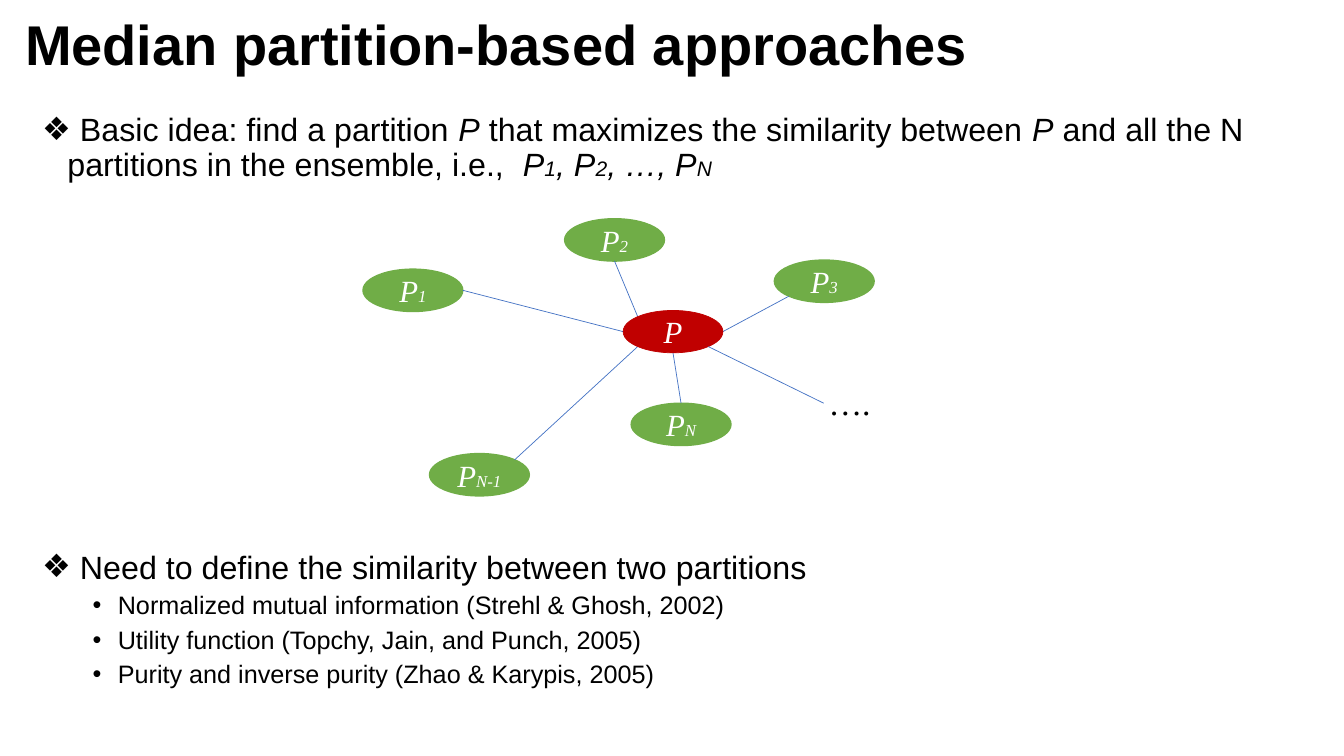
import math
from lxml import etree
from pptx import Presentation
from pptx.dml.color import RGBColor
from pptx.enum.shapes import MSO_CONNECTOR, MSO_SHAPE
from pptx.enum.text import MSO_ANCHOR, PP_ALIGN
from pptx.oxml.ns import qn
from pptx.util import Inches, Pt

ELLIPSE = MSO_SHAPE.OVAL
STRAIGHT = MSO_CONNECTOR.STRAIGHT
MIDDLE, TOP = MSO_ANCHOR.MIDDLE, MSO_ANCHOR.TOP
LEFT, CENTER = PP_ALIGN.LEFT, PP_ALIGN.CENTER

SANS, SERIF = "Arial", "Times New Roman"
BLACK, WHITE, GREEN, RED, BLUE = "000000", "FFFFFF", "70AD47", "C00000", "4472C4"
NODE_WIDTH, NODE_HEIGHT = 0.99, 0.42
EAST, SOUTHEAST, SOUTH, SOUTHWEST, WEST, NORTHWEST, NORTH, NORTHEAST = range(0, 360, 45)

IDEA = [
    (" Basic idea: find a partition ", {}),
    ("P", {"italic": True}),
    (" that maximizes the similarity between ", {}),
    ("P", {"italic": True}),
    (" and all the N partitions in the ensemble, i.e.,  ", {}),
    ("P", {"italic": True}),
    ("1", {"italic": True, "size": 15}),
    (", P", {"italic": True}),
    ("2", {"italic": True, "size": 15}),
    (", …, P", {"italic": True}),
    ("N", {"italic": True, "size": 15}),
]
MEASURES = [
    "Normalized mutual information (Strehl & Ghosh, 2002)",
    "Utility function (Topchy, Jain, and Punch, 2005)",
    "Purity and inverse purity (Zhao & Karypis, 2005)",
]
PARTITIONS = [
    ("N-1", 0.66, 2.33, NORTHEAST, SOUTHWEST),
    ("N", 2.66, 1.83, NORTH, SOUTH),
    ("1", 0, 0.5, EAST, WEST),
    ("2", 2, 0, SOUTH, NORTHWEST),
    ("3", 4.08, 0.41, SOUTHWEST, EAST),
]


def color(value):
    return RGBColor.from_string(value)


def add_text(paragraph, text, font=SANS, size=23, fill=BLACK, bold=False, italic=False):
    run = paragraph.add_run()
    run.text = text
    run.font.name = font
    run.font.size = Pt(size)
    run.font.color.rgb = color(fill)
    run.font.bold = bold
    run.font.italic = italic


def add_text_box(slide, left, top, width, height, anchor=TOP):
    box = slide.shapes.add_textbox(Inches(left), Inches(top), Inches(width), Inches(height))
    box.text_frame.word_wrap = True
    box.text_frame.vertical_anchor = anchor
    return box.text_frame


def set_bullet(paragraph, character, indent):
    properties = paragraph._p.get_or_add_pPr()
    properties.set("marL", str(Inches(indent)))
    properties.set("indent", str(Inches(-0.25)))
    etree.SubElement(properties, qn("a:buFont")).set("typeface", SANS)
    etree.SubElement(properties, qn("a:buChar")).set("char", character)
    paragraph.alignment = LEFT
    paragraph.line_spacing = 0.9


def add_title(slide, left, top, width, height):
    paragraph = add_text_box(slide, left, top, width, height, MIDDLE).paragraphs[0]
    paragraph.line_spacing = 0.9
    add_text(paragraph, "Median partition-based approaches", size=40, bold=True)


def add_idea(slide, left, top, width, height):
    paragraph = add_text_box(slide, left, top, width, height).paragraphs[0]
    set_bullet(paragraph, "❖", 0.25)
    for text, style in IDEA:
        add_text(paragraph, text, **style)


def add_measures(slide, left, top, width, height):
    frame = add_text_box(slide, left, top, width, height)
    heading = frame.paragraphs[0]
    set_bullet(heading, "❖", 0.25)
    add_text(heading, " Need to define the similarity between two partitions")
    for measure in MEASURES:
        paragraph = frame.add_paragraph()
        paragraph.level = 1
        set_bullet(paragraph, "•", 0.75)
        paragraph.space_before = Pt(5)
        add_text(paragraph, measure, size=18)


def add_node(slide, left, top, subscript, fill, line_width):
    node = slide.shapes.add_shape(
        ELLIPSE, Inches(left), Inches(top), Inches(NODE_WIDTH), Inches(NODE_HEIGHT))
    node.shadow.inherit = False
    node.fill.solid()
    node.fill.fore_color.rgb = color(fill)
    node.line.color.rgb = color(fill)
    node.line.width = Pt(line_width)
    node.text_frame.vertical_anchor = MIDDLE
    paragraph = node.text_frame.paragraphs[0]
    paragraph.alignment = CENTER
    add_text(paragraph, "P", font=SERIF, size=22, fill=WHITE, italic=True)
    if subscript:
        add_text(paragraph, subscript, font=SERIF, size=12, fill=WHITE, italic=True)


def rim_point(left, top, angle):
    radians = math.radians(angle)
    return (left + NODE_WIDTH / 2 * (1 + math.cos(radians)),
            top + NODE_HEIGHT / 2 * (1 + math.sin(radians)))


def add_link(slide, start, end):
    link = slide.shapes.add_connector(STRAIGHT, *(Inches(value) for value in start + end))
    link.line.color.rgb = color(BLUE)
    link.line.width = Pt(0.5)
    etree.SubElement(link._element.spPr, qn("a:effectLst"))


def add_network(slide, left, top):
    median = (left + 2.58, top + 0.91)
    for subscript, across, down, node_angle, median_angle in PARTITIONS:
        corner = (left + across, top + down)
        add_node(slide, *corner, subscript, GREEN, 1)
        add_link(slide, rim_point(*corner, node_angle), rim_point(*median, median_angle))
    add_node(slide, *median, "", RED, 0.5)
    add_link(slide, rim_point(*median, SOUTHEAST), (left + 4.57, top + 1.83))
    more = add_text_box(slide, left + 4.52, top + 1.57, 1.58, 0.5)
    add_text(more.paragraphs[0], "….", font=SERIF, size=24)


def main():
    presentation = Presentation()
    presentation.slide_width = Inches(13.33)
    presentation.slide_height = Inches(7.5)
    slide = presentation.slides.add_slide(presentation.slide_layouts[6])
    add_title(slide, 0.15, 0.06, 10.23, 0.83)
    add_idea(slide, 0.32, 1.08, 12.69, 0.8)
    add_network(slide, 3.6, 2.17)
    add_measures(slide, 0.32, 5.42, 12.69, 1.91)
    presentation.save("out.pptx")


if __name__ == "__main__":
    main()
